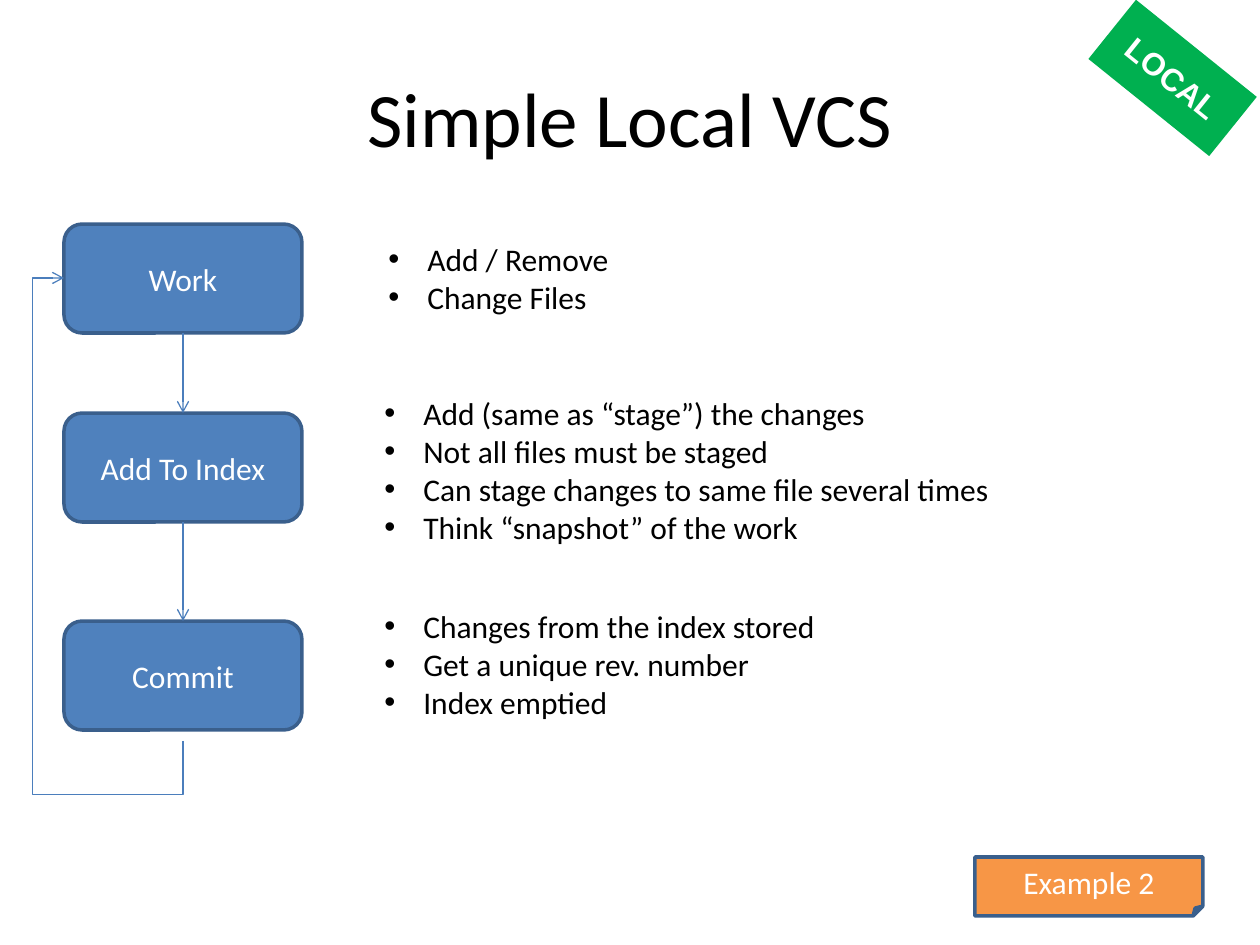
"""Build the Simple Local VCS workflow slide."""
from lxml.etree import SubElement
from pptx import Presentation
from pptx.dml.color import RGBColor
from pptx.enum.shapes import MSO_CONNECTOR as Connector, MSO_SHAPE as Shape
from pptx.enum.text import MSO_ANCHOR as Anchor, MSO_AUTO_SIZE as AutoSize, PP_ALIGN as Align
from pptx.oxml.ns import qn
from pptx.util import Inches, Pt

TITLE = "Simple Local VCS"
STEPS = [
    {"name": "Work", "top": 224, "notes_at": (376, 234, 595, 89),
     "notes": ["Add / Remove", "Change Files"]},
    {"name": "Add To Index", "top": 413, "notes_at": (372, 388, 704, 165),
     "notes": ["Add (same as “stage”) the changes", "Not all files must be staged",
               "Can stage changes to same file several times",
               "Think “snapshot” of the work"]},
    {"name": "Commit", "top": 621, "notes_at": (372, 601, 595, 127),
     "notes": ["Changes from the index stored", "Get a unique rev. number",
               "Index emptied"]},
]
THEME = {"step": "4F81BD", "border": "3A5F8C", "arrow": "4B7EBC", "example": "F79646",
         "badge": "00B050", "light": "FFFFFF", "dark": "000000",
         "font": "Calibri", "badge_font": "Arial", "title": 44, "body": 18}
STEP_LEFT, STEP_WIDTH, STEP_HEIGHT = 64, 238, 109
STEP_CENTER = STEP_LEFT + STEP_WIDTH // 2
LOOP_START = 741
BULLET_INDENT = 39


def px(value):
    return round(value * Inches(1) / 126)


def color(name):
    return RGBColor.from_string(THEME[name])


def set_font(paragraph, size="body", ink="dark", face="font"):
    paragraph.font.name = THEME[face]
    paragraph.font.size = Pt(THEME[size])
    paragraph.font.color.rgb = color(ink)


def add_box(kind, box, text, fill, border=True, face="font"):
    shape = slide.shapes.add_shape(kind, *map(px, box))
    shape.shadow.inherit = False
    shape.fill.solid()
    shape.fill.fore_color.rgb = color(fill)
    if border:
        shape.line.color.rgb = color("border")
        shape.line.width = Pt(2)
    else:
        shape.line.fill.background()
    shape.text_frame.vertical_anchor = Anchor.MIDDLE
    paragraph = shape.text_frame.paragraphs[0]
    paragraph.text = text
    paragraph.alignment = Align.CENTER
    set_font(paragraph, ink="light", face=face)
    return shape


def add_notes(box, notes):
    frame = slide.shapes.add_textbox(*map(px, box)).text_frame
    frame.word_wrap = True
    frame.auto_size = AutoSize.SHAPE_TO_FIT_TEXT
    for index, note in enumerate(notes):
        paragraph = frame.add_paragraph() if index else frame.paragraphs[0]
        paragraph.text = note
        set_font(paragraph)
        properties = paragraph._p.get_or_add_pPr()
        properties.set("marL", str(px(BULLET_INDENT)))
        properties.set("indent", str(-px(BULLET_INDENT)))
        SubElement(properties, qn("a:buFont"), typeface="Arial")
        SubElement(properties, qn("a:buChar"), char="•")


def add_arrow(kind, *ends):
    arrow = slide.shapes.add_connector(kind, *map(px, ends))
    arrow.line.color.rgb = color("arrow")
    arrow.line.width = Pt(0.75)
    SubElement(arrow.line._get_or_add_ln(), qn("a:tailEnd"), type="arrow")
    SubElement(arrow._element.spPr, qn("a:effectLst"))
    return arrow


def add_loop(start_x, start_y, end_x, end_y):
    width, height = start_y - end_y, start_x - end_x
    left = (start_x + end_x - width) / 2
    top = (start_y + end_y - height) / 2
    loop = add_arrow(Connector.ELBOW, left, top, left + width, top + height)
    transform = loop._element.spPr.find(qn("a:xfrm"))
    transform.set("rot", str(270 * 60000))
    transform.set("flipV", "1")
    geometry = loop._element.spPr.find(qn("a:prstGeom"))
    geometry.set("prst", "bentConnector4")
    adjustments = geometry.find(qn("a:avLst"))
    for name, share in (("adj1", -0.115), ("adj2", 1.265)):
        SubElement(adjustments, qn("a:gd"), name=name, fmla=f"val {round(share * 100000)}")


presentation = Presentation()
presentation.slide_width, presentation.slide_height = px(1260), px(945)
slide = presentation.slides.add_slide(presentation.slide_layouts[5])

title = slide.shapes.title
title.left, title.top, title.width, title.height = map(px, (63, 38, 1134, 158))
title.text_frame.text = TITLE
title.text_frame.vertical_anchor = Anchor.MIDDLE
title.text_frame.paragraphs[0].alignment = Align.CENTER
set_font(title.text_frame.paragraphs[0], size="title")

for step in STEPS:
    add_box(Shape.ROUNDED_RECTANGLE, (STEP_LEFT, step["top"], STEP_WIDTH, STEP_HEIGHT),
            step["name"], "step")
    add_notes(step["notes_at"], step["notes"])
for step, following in zip(STEPS, STEPS[1:]):
    add_arrow(Connector.STRAIGHT, STEP_CENTER, step["top"] + STEP_HEIGHT,
              STEP_CENTER, following["top"])
add_loop(STEP_CENTER, LOOP_START, STEP_LEFT, STEPS[0]["top"] + STEP_HEIGHT // 2)

add_box(Shape.FOLDED_CORNER, (975, 857, 228, 59), "Example 2", "example")
badge = add_box(Shape.RECTANGLE, (1095, 40, 155, 76), "LOCAL", "badge",
                border=False, face="badge_font")
badge.rotation = 38.8
badge.text_frame.paragraphs[0].font.bold = True

presentation.save("out.pptx")
